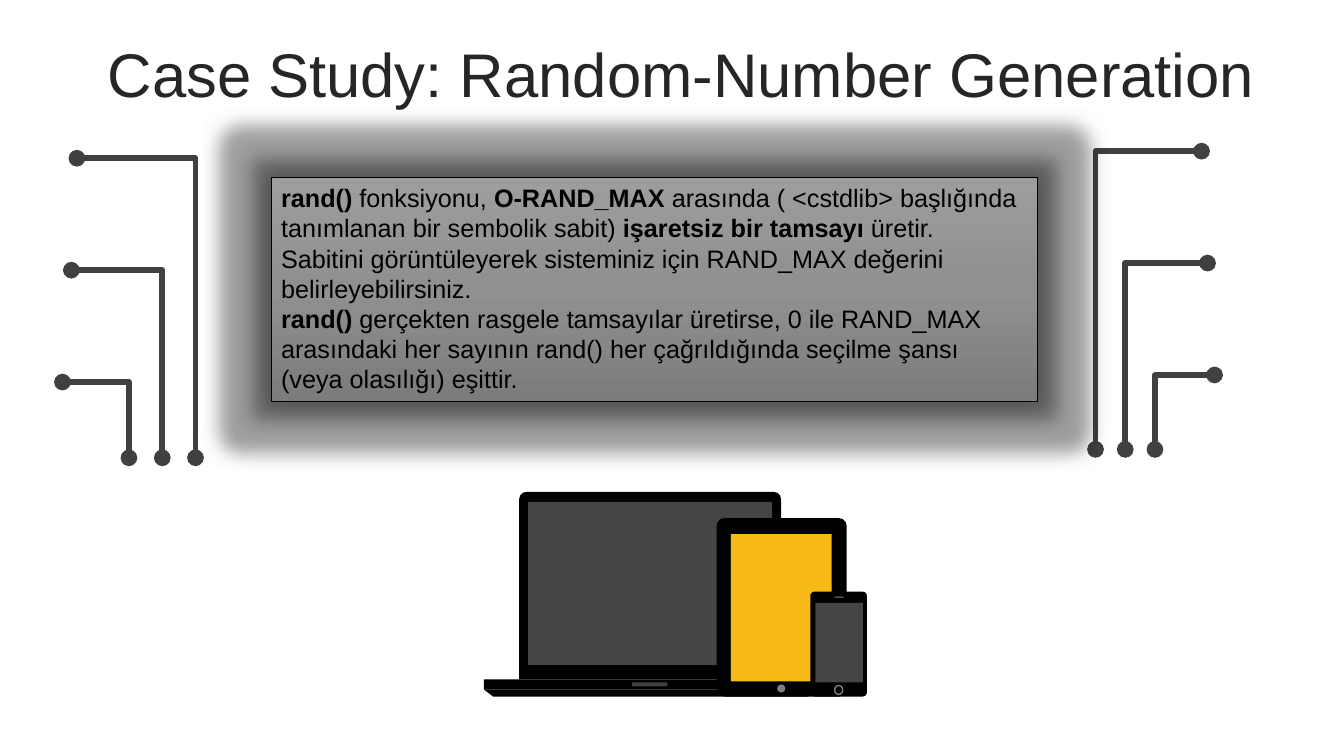
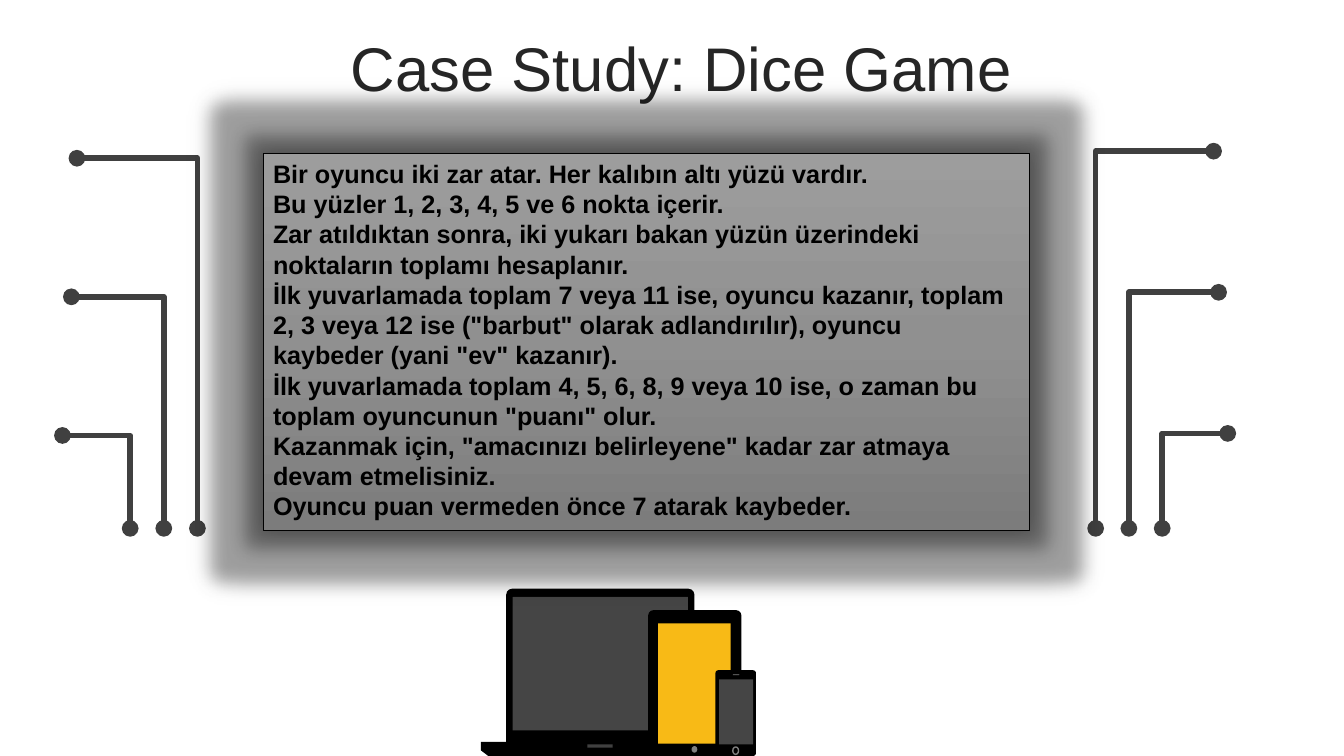
import copy

import lxml.etree
import pptx
import pptx.dml.color
import pptx.enum.shapes
import pptx.enum.text
import pptx.oxml.ns
import pptx.util

SHAPE = pptx.enum.shapes.MSO_SHAPE
ALIGN = pptx.enum.text.PP_ALIGN
ANCHOR = pptx.enum.text.MSO_ANCHOR
COLS, ROWS = 160, 90
BLACK, DARK, SCREEN, GREY, GOLD = "000000", "404040", "454545", "808080", "F8BA16"
TITLE = {"name": "Arial", "size": pptx.util.Pt(44), "bold": False}
BODY = {"name": "Arial", "size": pptx.util.Pt(18)}
PANEL_STOPS = ("9D9D9D", "909090", "7C7C7C")
DEVICE_GRID = (38, 20.3)
DEVICES = (
    (SHAPE.ROUND_2_SAME_RECTANGLE, (3.5, 0, 26, 18.6), BLACK, 0.04),
    (SHAPE.RECTANGLE, (4.4, 1, 24.2, 16.2), SCREEN, None),
    (SHAPE.RECTANGLE, (0, 18.6, 33.1, 1), BLACK, None),
    (SHAPE.TRAPEZOID, (0, 19.6, 33.1, 0.7), BLACK, 1.3),
    (SHAPE.RECTANGLE, (14.7, 18.9, 3.5, 0.4), DARK, None),
    (SHAPE.ROUNDED_RECTANGLE, (23.1, 2.6, 12.9, 17.7), BLACK, 0.06),
    (SHAPE.RECTANGLE, (24.5, 4.2, 10, 14.6), GOLD, None),
    (SHAPE.OVAL, (29.1, 19.1, 0.8, 0.8), GREY, None),
    (SHAPE.ROUNDED_RECTANGLE, (32.4, 9.9, 5.6, 10.4), BLACK, 0.07),
    (SHAPE.RECTANGLE, (32.9, 11, 4.7, 7.9), SCREEN, None),
    (SHAPE.ROUNDED_RECTANGLE, (34.8, 10.4, 0.9, 0.1), GREY, 0.5),
    (SHAPE.OVAL, (34.8, 19.2, 0.8, 0.9), None, None),
)
LEFT_TIPS = (7.44, 8.5, 9.16)

SLIDES = (
    {
        "title": ("Case Study: Random-Number Generation", 9.48),
        "right": ((144.6, 143.76, 143.04), 137.5, -3.54, 53.5, 18, 13.32),
        "devices": (57.6, 58.56, 45.6, 24.36),
        "left": (LEFT_TIPS, 15.36, 3.96, 54.5, 18.84, 13.32),
        "panel": (32.28, 21.12, 91.2, 26.64),
        "text": (
            "*rand() *fonksiyonu, *O-RAND_MAX *arasında ( <cstdlib> başlığında tanımlanan "
            "bir sembolik sabit) *işaretsiz bir tamsayı *üretir.",
            "Sabitini görüntüleyerek sisteminiz için RAND_MAX değerini belirleyebilirsiniz.",
            "*rand() *gerçekten rasgele tamsayılar üretirse, 0 ile RAND_MAX arasındaki her "
            "sayının rand() her çağrıldığında seçilme şansı (veya olasılığı) eşittir.",
        ),
    },
    {
        "title": ("Case Study: Dice Game", 8.16),
        "right": ((146.16, 145.08, 144.48), 138.36, -3.96, 62.9, 18, 16.8),
        "devices": (57.24, 70.08, 32.76, 19.92),
        "left": (LEFT_TIPS, 15.5, 4, 62.9, 18.84, 16.5),
        "panel": (31.32, 18.24, 91.2, 44.88),
        "text": (
            "*Bir oyuncu iki zar atar. Her kalıbın altı yüzü vardır.",
            "*Bu yüzler 1, 2, 3, 4, 5 ve 6 nokta içerir.",
            "*Zar atıldıktan sonra, iki yukarı bakan yüzün üzerindeki noktaların toplamı "
            "hesaplanır.",
            "*İlk yuvarlamada toplam 7 veya 11 ise, oyuncu kazanır, toplam 2, 3 veya 12 ise "
            "(\"barbut\" olarak adlandırılır), oyuncu kaybeder (yani \"ev\" kazanır).",
            "*İlk yuvarlamada toplam 4, 5, 6, 8, 9 veya 10 ise, o zaman bu toplam oyuncunun "
            "\"puanı\" olur.",
            "*Kazanmak için, \"amacınızı belirleyene\" kadar zar atmaya devam etmelisiniz.",
            "*Oyuncu puan vermeden önce 7 atarak kaybeder.",
        ),
    },
)


def rgb(value):
    return pptx.dml.color.RGBColor.from_string(value)


def put(parent, tag, **attrs):
    return lxml.etree.SubElement(parent, pptx.oxml.ns.qn(tag), attrs)


def style(target, formats):
    for name, value in formats.items():
        setattr(target, name, value)


class Deck:
    """Holds the shared style and the slide being drawn."""

    def __init__(self):
        self.prs = pptx.Presentation()
        style(self.prs, {"slide_width": pptx.util.Inches(13.33),
                         "slide_height": pptx.util.Inches(7.5)})
        self.s = None

    def add_slide(self):
        self.s = self.prs.slides.add_slide(self.prs.slide_layouts[6])

    def grid(self, *lengths):
        units = (self.prs.slide_width / COLS, self.prs.slide_height / ROWS)
        return [round(n * units[i % 2]) for i, n in enumerate(lengths)]

    def run(self, p, text, formats, color):
        r = p.add_run()
        r.text = text
        style(r.font, formats)
        r.font.color.rgb = rgb(color)

    def title(self, text, height):
        tf = self.s.shapes.add_textbox(*self.grid(5.2, 4.44, 151.92, height)).text_frame
        style(tf, {"word_wrap": True, "vertical_anchor": ANCHOR.MIDDLE})
        p = tf.paragraphs[0]
        style(p, {"alignment": ALIGN.CENTER, "line_spacing": 0.9})
        self.run(p, text, TITLE, "262626")

    def shape(self, shapes, kind, box, color, adjust=None):
        sp = shapes.add_shape(kind, *self.grid(*box))
        sp.shadow.inherit = False
        if adjust is not None:
            sp.adjustments[0] = adjust
        if color:
            sp.fill.solid()
            sp.fill.fore_color.rgb = rgb(color)
            sp.line.fill.background()
        else:
            sp.fill.background()
            sp.line.color.rgb = rgb(GREY)
            sp.line.width = pptx.util.Pt(1)
        return sp

    def circuit(self, tips, foot, gap, bottom, top, pitch):
        group = self.s.shapes.add_group_shape()
        for i, tip in enumerate(tips):
            row = top + (len(tips) - 1 - i) * pitch
            ends = self.grid(tip, row, foot + i * gap, bottom)
            line = group.shapes.add_connector(pptx.enum.shapes.MSO_CONNECTOR.ELBOW, *ends)
            line.line.color.rgb = rgb(DARK)
            line.line.width = pptx.util.Pt(4)
            spPr = line._element.spPr
            spPr.find(pptx.oxml.ns.qn("a:prstGeom")).set("prst", "bentConnector2")
            for tag in ("a:headEnd", "a:tailEnd"):
                put(spPr.find(pptx.oxml.ns.qn("a:ln")), tag, type="oval")
            put(spPr, "a:effectLst")

    def devices(self, left, top, width, height):
        group = self.s.shapes.add_group_shape()
        sx, sy = width / DEVICE_GRID[0], height / DEVICE_GRID[1]
        for kind, (x, y, w, h), color, adjust in DEVICES:
            box = (left + x * sx, top + y * sy, w * sx, h * sy)
            sp = self.shape(group.shapes, kind, box, color, adjust)
            if kind == SHAPE.TRAPEZOID:
                sp.rotation = 180

    def panel(self, box, text):
        sp = self.shape(self.s.shapes, SHAPE.RECTANGLE, box, GREY)
        sp.fill.gradient()
        sp.fill.gradient_angle = 270
        stops = sp._element.spPr.find(".//" + pptx.oxml.ns.qn("a:gsLst"))
        stops.insert(1, copy.deepcopy(stops[0]))
        for i, (stop, color) in enumerate(zip(sp.fill.gradient_stops, PANEL_STOPS)):
            stop.position = i / 2
            stop.color.rgb = rgb(color)
        sp.line.color.rgb = rgb(BLACK)
        sp.line.width = pptx.util.Pt(0.5)
        effects = sp._element.spPr.find(pptx.oxml.ns.qn("a:effectLst"))
        glow = put(effects, "a:glow", rad=str(pptx.util.Inches(0.35)))
        shadow = put(effects, "a:outerShdw", blurRad=str(pptx.util.Inches(0.2)), dist="0")
        for effect, alpha in ((glow, "30000"), (shadow, "40000")):
            put(put(effect, "a:srgbClr", val=BLACK), "a:alpha", val=alpha)
        tf = sp.text_frame
        style(tf, {"word_wrap": True, "vertical_anchor": ANCHOR.TOP})
        for i, line in enumerate(text):
            p = tf.add_paragraph() if i else tf.paragraphs[0]
            p.alignment = ALIGN.LEFT
            for j, part in enumerate(line.split("*")):
                if part:
                    self.run(p, part, {**BODY, "bold": j % 2 == 1}, BLACK)


def main():
    deck = Deck()
    for content in SLIDES:
        deck.add_slide()
        deck.title(*content["title"])
        deck.circuit(*content["right"])
        deck.devices(*content["devices"])
        deck.circuit(*content["left"])
        deck.panel(content["panel"], content["text"])
    deck.prs.save("out.pptx")


if __name__ == "__main__":
    main()
